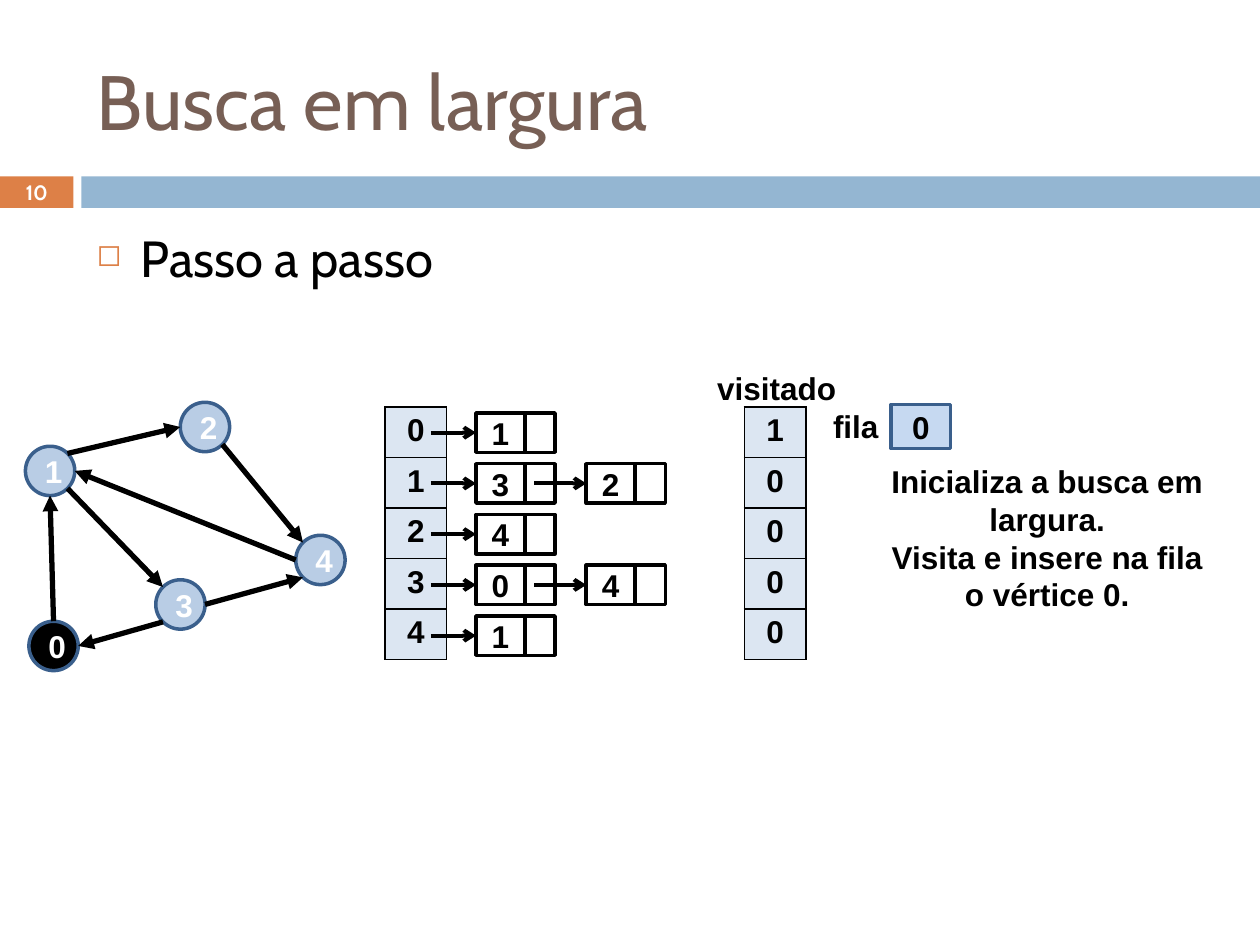
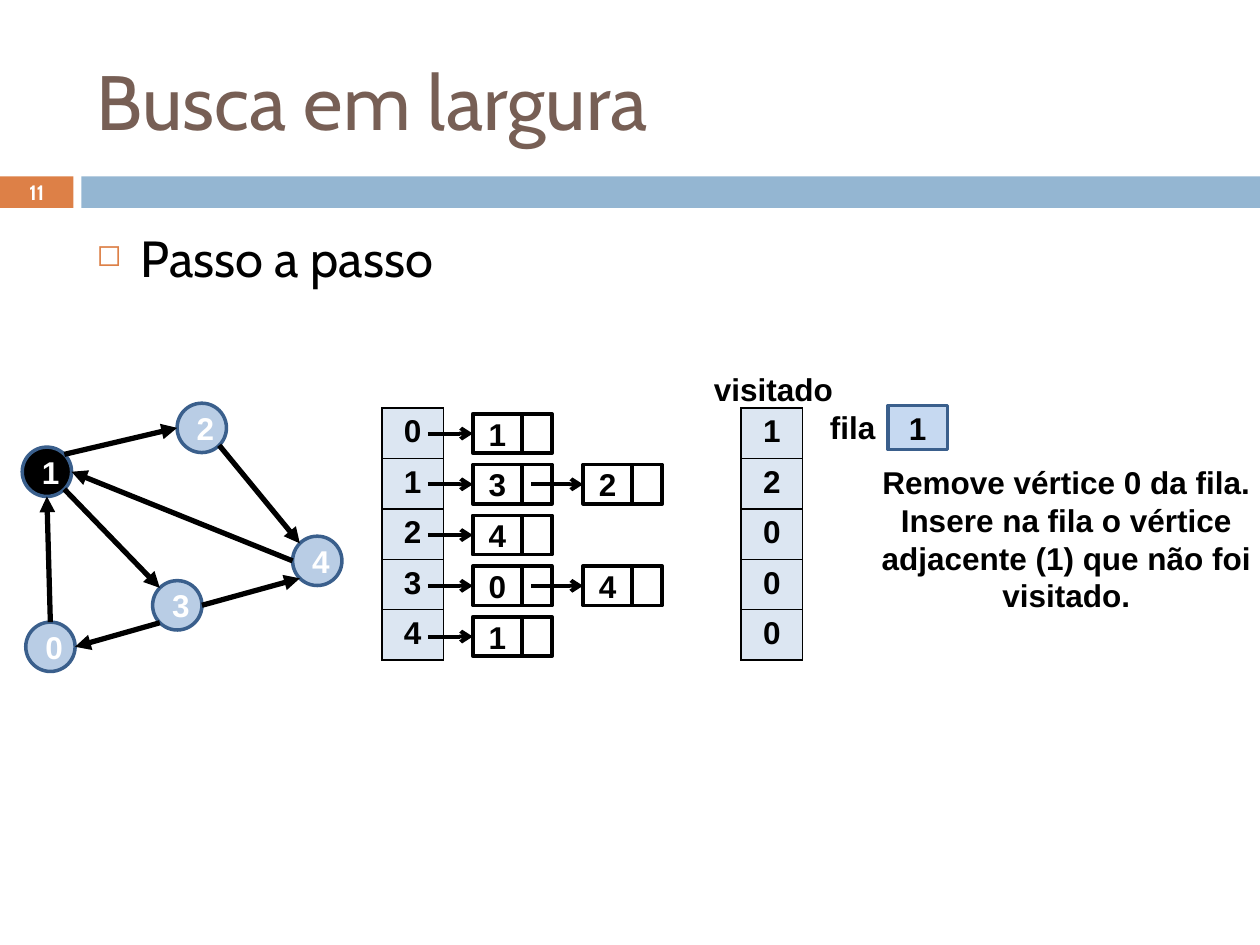
from dataclasses import dataclass
from math import cos, radians, sin

from lxml import etree
from pptx import Presentation
from pptx.dml.color import RGBColor
from pptx.enum.shapes import MSO_CONNECTOR, MSO_SHAPE
from pptx.enum.text import MSO_ANCHOR, PP_ALIGN
from pptx.oxml.ns import qn
from pptx.util import Pt

RECTANGLE, OVAL = MSO_SHAPE.RECTANGLE, MSO_SHAPE.OVAL
STRAIGHT = MSO_CONNECTOR.STRAIGHT
CENTER, LEFT = PP_ALIGN.CENTER, PP_ALIGN.LEFT
MIDDLE, TOP = MSO_ANCHOR.MIDDLE, MSO_ANCHOR.TOP

BLACK = RGBColor(0x00, 0x00, 0x00)
WHITE = RGBColor(0xFF, 0xFF, 0xFF)
BROWN = RGBColor(0x77, 0x5F, 0x55)
ORANGE = RGBColor(0xDD, 0x80, 0x47)
BAND_BLUE = RGBColor(0x94, 0xB6, 0xD2)
VERTEX_BLUE = RGBColor(0xB9, 0xCD, 0xE5)
OUTLINE_BLUE = RGBColor(0x3A, 0x5F, 0x8C)
CELL_BLUE = RGBColor(0xDC, 0xE6, 0xF2)
QUEUE_BLUE = RGBColor(0xC6, 0xD9, 0xF1)


@dataclass(frozen=True)
class TextStyle:
    font: str
    size: float
    color: RGBColor
    bold: bool = False


TITLE = TextStyle("Cabin", 44, BROWN)
BODY = TextStyle("Cabin", 29, BLACK)
PAGE_NUMBER = TextStyle("Cabin", 11.9, WHITE, True)
LABEL = TextStyle("Arial", 18, BLACK, True)
VERTEX_LABEL = TextStyle("Arial", 18, WHITE, True)


@dataclass(frozen=True)
class Step:
    number: int
    current_vertex: int
    visited: tuple[int, ...]
    queue: int
    message: str
    message_width: float
    dx: float = 0  # shift of the whole diagram
    dy: float = 0


@dataclass(frozen=True)
class Edge:
    start: int
    start_side: str
    end: int
    end_side: str


STEPS = (
    Step(10, 0, (1, 0, 0, 0, 0), 0,
         "Inicializa a busca em largura.\nVisita e insere na fila o vértice 0.", 201.6),
    Step(11, 1, (1, 2, 0, 0, 0), 1,
         "Remove vértice 0 da fila.\n"
         "Insere na fila o vértice adjacente (1) que não foi visitado.", 227, -1.8, 0.5),
)

# Graph: vertex centres, and edges between compass points of the circles
RADIUS = 14.1
CENTERS = {0: (30.6, 369.1), 1: (28.6, 269.1), 2: (117.1, 244),
           3: (103.1, 345.4), 4: (183.1, 320)}
ANGLES = {"e": 0, "se": 45, "s": 90, "sw": 135, "w": 180, "nw": 225, "n": 270, "ne": 315}
EDGES = (Edge(2, "se", 4, "nw"), Edge(1, "ne", 2, "w"), Edge(3, "e", 4, "sw"),
         Edge(1, "se", 3, "nw"), Edge(0, "n", 1, "s"), Edge(3, "sw", 0, "e"),
         Edge(4, "w", 1, "e"))

# Adjacency lists
NEIGHBORS = ((1,), (3, 2), (4,), (0, 4), (1,))
LIST_LEFT, LIST_TOP = 272, 236
LIST_STEP, LIST_PITCH = 63, 29
VALUE_WIDTH, POINTER_WIDTH, NODE_HEIGHT = 28, 17.2, 22.5
ARROW_START, ARROW_STEP = 246.3, 59

TABLE_TOP, TABLE_WIDTH, ROW_HEIGHT = 232.6, 35.2, 27.4


def write(frame, text: str, style: TextStyle, align=CENTER) -> None:
    frame.text = text
    frame.word_wrap = True
    for para in frame.paragraphs:
        para.alignment = align
        for span in para.runs:
            span.font.name = style.font
            span.font.size = Pt(style.size)
            span.font.bold = style.bold
            span.font.color.rgb = style.color


def add_box(shapes, kind, left: float, top: float, width: float, height: float,
            fill: RGBColor, outline: RGBColor | None = None,
            text: str = "", style: TextStyle = LABEL):
    box = shapes.add_shape(kind, Pt(left), Pt(top), Pt(width), Pt(height))
    box.shadow.inherit = False
    box.fill.solid()
    box.fill.fore_color.rgb = fill
    if outline is None:
        box.line.fill.background()
    else:
        box.line.color.rgb = outline
        box.line.width = Pt(2)
    if text:
        write(box.text_frame, text, style)
    return box


def add_text(page, left: float, top: float, width: float, height: float,
             text: str, style: TextStyle, align=CENTER, anchor=TOP):
    box = page.shapes.add_textbox(Pt(left), Pt(top), Pt(width), Pt(height))
    write(box.text_frame, text, style, align)
    box.text_frame.vertical_anchor = anchor
    return box


def add_arrow(page, start: tuple[float, float], end: tuple[float, float],
              width: float, head: str):
    arrow = page.shapes.add_connector(STRAIGHT, *(Pt(value) for value in (*start, *end)))
    arrow.line.color.rgb = BLACK
    arrow.line.width = Pt(width)
    etree.SubElement(arrow.line._get_or_add_ln(), qn("a:tailEnd"), type=head)
    etree.SubElement(arrow._element.spPr, qn("a:effectLst"))
    return arrow


def add_bullet(para) -> None:
    properties = para._p.get_or_add_pPr()
    properties.set("marL", str(Pt(25.2)))
    properties.set("indent", str(Pt(-25.2)))
    color = etree.SubElement(properties, qn("a:buClr"))
    etree.SubElement(color, qn("a:srgbClr"), val=str(ORANGE))
    etree.SubElement(properties, qn("a:buSzPct"), val="60000")
    etree.SubElement(properties, qn("a:buChar"), char="◻")


def add_border(cell) -> None:
    properties = cell._tc.get_or_add_tcPr()
    for position, side in enumerate(("a:lnL", "a:lnR", "a:lnT", "a:lnB")):
        line = etree.Element(qn(side), w=str(Pt(1)))
        fill = etree.SubElement(line, qn("a:solidFill"))
        etree.SubElement(fill, qn("a:srgbClr"), val=str(BLACK))
        properties.insert(position, line)


def add_column(page, left: float, top: float, values) -> None:
    frame = page.shapes.add_table(len(values), 1, Pt(left), Pt(top),
                                  Pt(TABLE_WIDTH), Pt(ROW_HEIGHT * len(values)))
    table = frame.table
    table.first_row = table.horz_banding = False
    for row, value in enumerate(values):
        table.rows[row].height = Pt(ROW_HEIGHT)
        cell = table.cell(row, 0)
        cell.fill.solid()
        cell.fill.fore_color.rgb = CELL_BLUE
        write(cell.text_frame, str(value), LABEL)
        add_border(cell)


def add_frame(page, number: int) -> None:
    """Bands, title, page number and heading shared by the slides."""
    add_box(page.shapes, RECTANGLE, 0, 100.8, 42, 18, ORANGE)
    add_box(page.shapes, RECTANGLE, 46.5, 100.8, 673.5, 18, BAND_BLUE)
    add_text(page, 48.2, 18, 642, 78, "Busca em largura", TITLE, LEFT, MIDDLE)
    add_text(page, 0, 100, 42, 19.5, str(number), PAGE_NUMBER, CENTER, MIDDLE)
    body = add_text(page, 48.2, 126, 642, 354, "Passo a passo", BODY, LEFT)
    add_bullet(body.text_frame.paragraphs[0])


def rim_point(vertex: int, side: str, step: Step) -> tuple[float, float]:
    x, y = CENTERS[vertex]
    angle = radians(ANGLES[side])
    return x + step.dx + RADIUS * cos(angle), y + step.dy + RADIUS * sin(angle)


def add_graph(page, step: Step) -> None:
    for vertex, (x, y) in CENTERS.items():
        fill = BLACK if vertex == step.current_vertex else VERTEX_BLUE
        add_box(page.shapes, OVAL, x + step.dx - RADIUS, y + step.dy - RADIUS,
                2 * RADIUS, 2 * RADIUS, fill, OUTLINE_BLUE, str(vertex), VERTEX_LABEL)
    for edge in EDGES:
        add_arrow(page, rim_point(edge.start, edge.start_side, step),
                  rim_point(edge.end, edge.end_side, step), 3, "triangle")


def add_list_node(page, left: float, top: float, value: int):
    group = page.shapes.add_group_shape()
    value_box = add_box(group.shapes, RECTANGLE, left, top, VALUE_WIDTH, NODE_HEIGHT,
                        WHITE, BLACK, str(value))
    add_box(group.shapes, RECTANGLE, left + VALUE_WIDTH, top, POINTER_WIDTH, NODE_HEIGHT,
            WHITE, BLACK)
    return value_box


def add_adjacency_lists(page, step: Step) -> None:
    add_column(page, 220 + step.dx, TABLE_TOP + step.dy, range(len(NEIGHBORS)))
    for row, neighbors in enumerate(NEIGHBORS):
        top = LIST_TOP + step.dy + LIST_PITCH * row
        middle = top + NODE_HEIGHT / 2
        for position, neighbor in enumerate(neighbors):
            left = LIST_LEFT + step.dx + LIST_STEP * position
            value_box = add_list_node(page, left, top, neighbor)
            start = ARROW_START + step.dx + ARROW_STEP * position
            arrow = add_arrow(page, (start, middle), (left, middle), 2.25, "arrow")
            arrow.end_connect(value_box, 1)


def add_search_state(page, step: Step) -> None:
    dx, dy = step.dx, step.dy
    add_column(page, 425.3 + dx, TABLE_TOP + dy, step.visited)
    add_text(page, 395.8 + dx, 207.2 + dy, 96, 29, "visitado", LABEL)
    add_text(page, 497.6 + dx, 260.5 + dy, step.message_width, 94.5, step.message, LABEL)
    add_box(page.shapes, RECTANGLE, 509.2 + dx, 231.2 + dy, 34, 25.2,
            QUEUE_BLUE, OUTLINE_BLUE, str(step.queue))
    add_text(page, 441 + dx, 229 + dy, 96, 29, "fila", LABEL)


def main() -> None:
    deck = Presentation()
    deck.slide_width, deck.slide_height = Pt(720), Pt(540)
    blank = deck.slide_layouts[6]
    for step in STEPS:
        page = deck.slides.add_slide(blank)
        add_frame(page, step.number)
        add_graph(page, step)
        add_adjacency_lists(page, step)
        add_search_state(page, step)
    deck.save("out.pptx")


if __name__ == "__main__":
    main()
